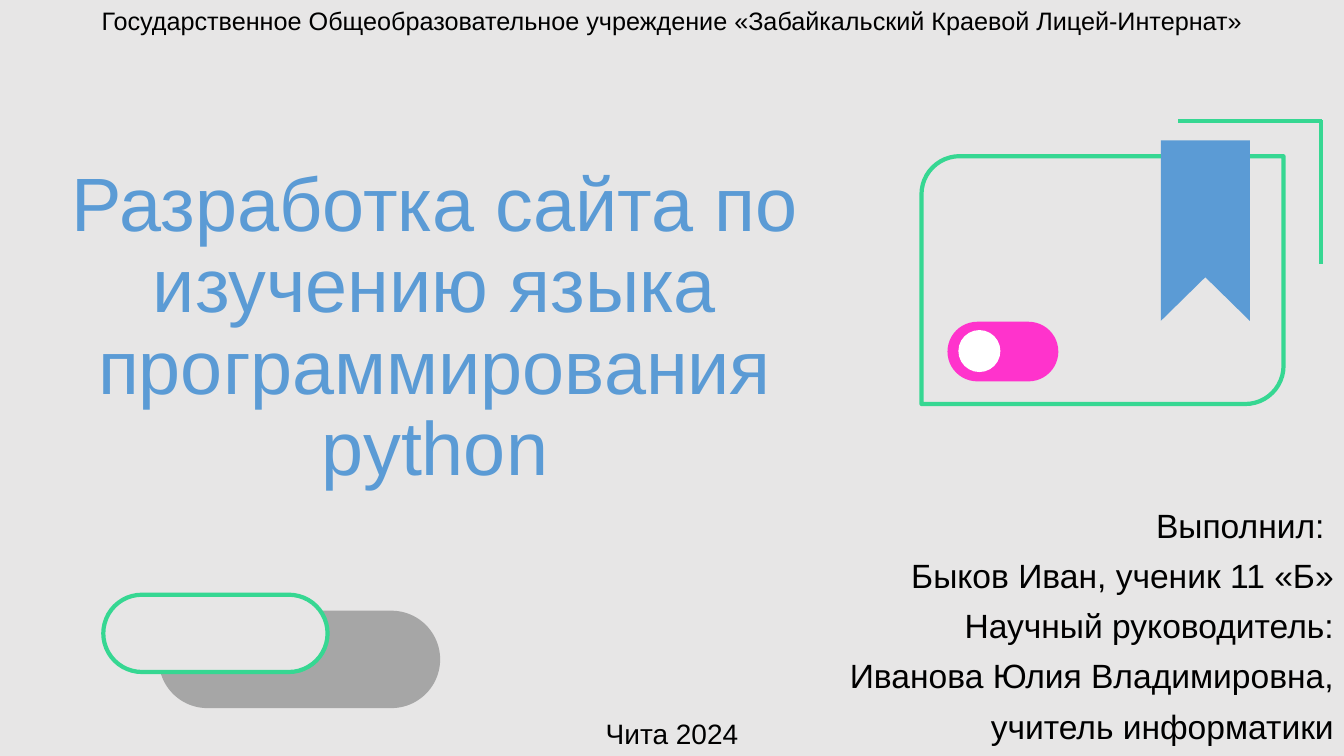
from pptx import Presentation
from pptx import util as u
from pptx.dml.color import RGBColor
from pptx.enum import shapes, text
from pptx.oxml.ns import qn
from lxml import etree

COLUMNS, ROWS = 160, 90
CELL = u.Inches(13.3333) / COLUMNS
FONT = "Arial"
PAPER, GREEN, BLUE = "E7E6E6", "36D792", "5B9BD5"
GRAY, PINK, WHITE, BLACK = "A6A6A6", "FF33CC", "FFFFFF", "000000"
KIND = shapes.MSO_SHAPE
ALIGN = text.PP_ALIGN
ANCHOR = text.MSO_ANCHOR


def cells(*counts):
    return [u.Emu(round(count * CELL)) for count in counts]


def color(target, value):
    target.rgb = RGBColor.from_string(value)


def apply(target, values):
    for name, value in values.items():
        setattr(target, name, value)


def place(box, area):
    apply(box, dict(zip(("left", "top", "width", "height"), cells(*area))))


def write(box, lines, size, ink=BLACK, frame=None, **paragraph):
    apply(box.text_frame, {"word_wrap": True,
                           "auto_size": text.MSO_AUTO_SIZE.NONE, **(frame or {})})
    for index, line in enumerate(lines):
        para = box.text_frame.paragraphs[0] if index == 0 else box.text_frame.add_paragraph()
        apply(para, paragraph)
        span = para.add_run()
        span.text = line
        apply(span.font, {"name": FONT, "size": u.Pt(size)})
        color(span.font.color, ink)


def label(page, area, line, size, **frame):
    box = page.shapes.add_textbox(*cells(*area))
    write(box, [line], size, frame=frame, alignment=ALIGN.CENTER)


def paint(shape, fill, line=None):
    shape.shadow.inherit = False
    shape.fill.solid()
    color(shape.fill.fore_color, fill)
    if line:
        color(shape.line.color, line)
        shape.line.width = u.Pt(3)
    else:
        shape.line.fill.background()


def block(page, kind, area, fill, line=None, corners=()):
    shape = page.shapes.add_shape(kind, *cells(*area))
    for index, corner in enumerate(corners):
        shape.adjustments[index] = corner
    paint(shape, fill, line)


def pill(page, area, fill, line=None):
    block(page, KIND.ROUNDED_RECTANGLE, area, fill, line, [0.5])


def stroke(page, start, end):
    line = page.shapes.add_connector(shapes.MSO_CONNECTOR.STRAIGHT, *cells(*start, *end))
    color(line.line.color, GREEN)
    line.line.width = u.Pt(3)
    etree.SubElement(line._element.spPr, qn("a:effectLst"))


def ribbon(page, left, top, width, notch, tail):
    right, middle = left + width, left + width / 2
    corners = [(right, top), (right, tail), (middle, notch), (left, tail)]
    builder = page.shapes.build_freeform(*cells(left, top))
    builder.add_line_segments([cells(*corner) for corner in corners], close=True)
    paint(builder.convert_to_shape(), BLUE)


def main():
    deck = Presentation()
    deck.slide_width, deck.slide_height = cells(COLUMNS, ROWS)
    page = deck.slides.add_slide(deck.slide_layouts[0])
    page.background.fill.solid()
    color(page.background.fill.fore_color, PAPER)

    title, authors = page.placeholders
    place(title, (5, 18, 93.5, 41.2))
    write(title, ["Разработка сайта по изучению языка программирования python"],
          54, BLUE, {"vertical_anchor": ANCHOR.BOTTOM},
          alignment=ALIGN.CENTER, line_spacing=0.9)
    place(authors, (83.9, 60, 76.1, 28.2))
    write(authors, ["Выполнил: ", "Быков Иван, ученик 11 «Б»", "Научный руководитель:",
                    "Иванова Юлия Владимировна,", "учитель информатики"],
          24, BLACK, {"vertical_anchor": ANCHOR.TOP},
          alignment=ALIGN.RIGHT, line_spacing=0.9, space_before=u.Pt(10))

    label(page, (0, 0, COLUMNS, 4.8),
          "Государственное Общеобразовательное учреждение «Забайкальский Краевой Лицей-Интернат»", 18)
    label(page, (70.8, 84.7, 18.4, 5.3), "Чита 2024", 20, word_wrap=False)

    pill(page, (18.9, 72.7, 33.5, 11.6), GRAY)
    pill(page, (12.3, 70.8, 26.7, 9.2), PAPER, GREEN)

    block(page, KIND.ROUND_2_DIAG_RECTANGLE, (109.7, 18.6, 43.1, 29.5),
          PAPER, GREEN, [0.154, 0])
    stroke(page, (140.3, 14.4), (157.4, 14.4))
    stroke(page, (157.3, 31.4), (157.3, 14.3))
    ribbon(page, left=138.2, top=16.7, width=10.6, notch=33, tail=38.2)
    pill(page, (112.8, 38.3, 13.2, 7.1), PINK)
    block(page, KIND.OVAL, (114.1, 39.3, 5, 5), WHITE)

    deck.save("out.pptx")


if __name__ == "__main__":
    main()
